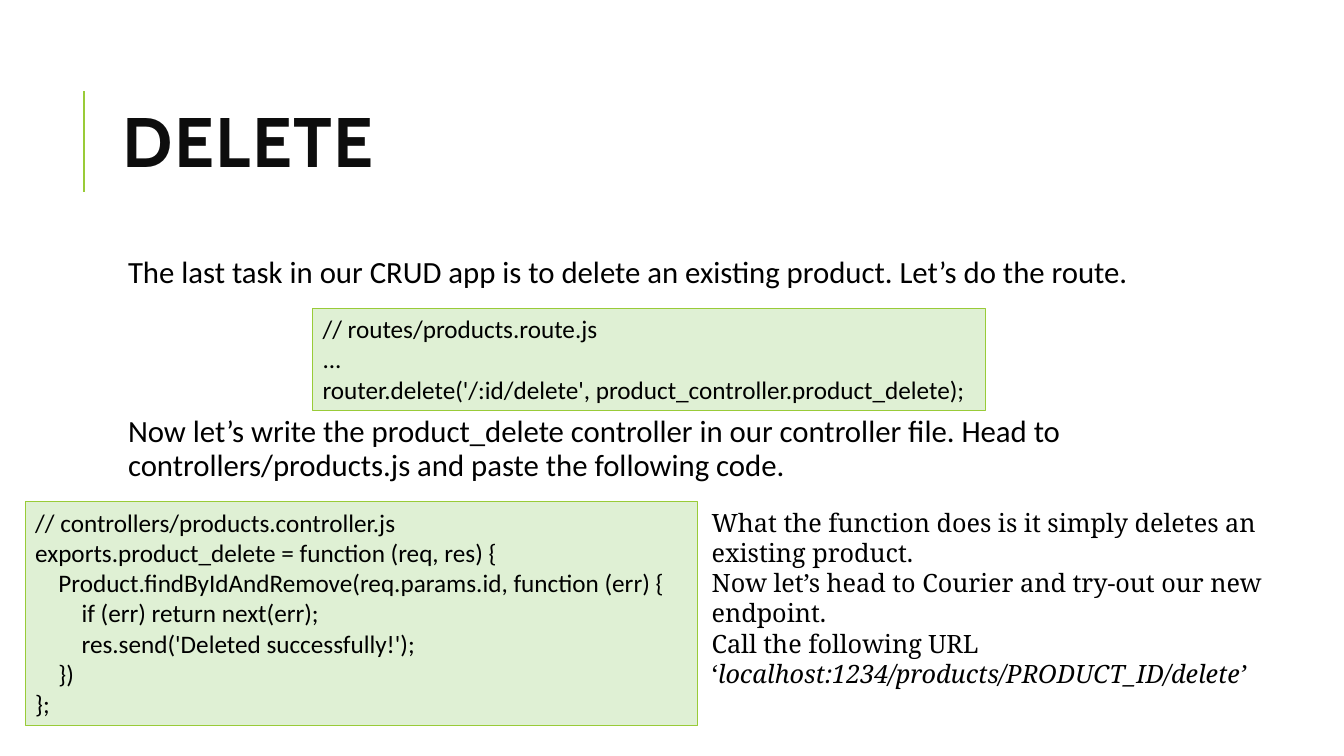
import pptx
import pptx.util
import pptx.dml.color
import pptx.enum.shapes
import pptx.enum.text
import lxml.etree

COLORS = {"accent": "99CB38", "code": "DFF0D4", "title": "0D0D0D", "text": "000000"}
CODE_INDENT = pptx.util.Inches(0.23)

ROUTE_CODE = [
    (0, "// routes/products.route.js"),
    (0, "..."),
    (0, "router.delete('/:id/delete', product_controller.product_delete);"),
]
CONTROLLER_CODE = [
    (0, "// controllers/products.controller.js"),
    (0, "exports.product_delete = function (req, res) {"),
    (1, "Product.findByIdAndRemove(req.params.id, function (err) {"),
    (2, "if (err) return next(err);"),
    (2, "res.send('Deleted successfully!');"),
    (1, "})"),
    (0, "};"),
]
STEPS = [
    "The last task in our CRUD app is to delete an existing product. Let’s do the route.",
    "Now let’s write the product_delete controller in our controller file. "
    "Head to controllers/products.js and paste the following code.",
]
NOTES = [
    ["What the function does is it simply deletes an existing product."],
    ["Now let’s head to Courier and try-out our new endpoint."],
    ["Call the following URL ‘", "localhost:1234/products/PRODUCT_ID/delete’"],
]


def rgb(name):
    """Return the named colour."""
    return pptx.dml.color.RGBColor.from_string(COLORS[name])


def area(prs, left, top, width, height):
    """Turn percentages of the slide into a box of lengths."""
    w, h = prs.slide_width / 100, prs.slide_height / 100
    return int(left * w), int(top * h), int(width * w), int(height * h)


def add_text(sp, paragraphs, size, font, color="text"):
    """Write paragraphs, each a list of runs, and return them."""
    tf = sp.text_frame
    tf.word_wrap = True
    tf.vertical_anchor = pptx.enum.text.MSO_ANCHOR.TOP
    for i, runs in enumerate(paragraphs):
        p = tf.add_paragraph() if i else tf.paragraphs[0]
        p.alignment = pptx.enum.text.PP_ALIGN.LEFT
        p.font.size = pptx.util.Pt(size)
        p.font.name = font
        p.font.color.rgb = rgb(color)
        for text in runs:
            p.add_run().text = text
    return tf.paragraphs


def add_title(s, box, text):
    """Place the accent rule at the left edge and the title beside it."""
    left, top, width, height = box
    gap = int(width * 0.0266)
    rule = s.shapes.add_connector(
        pptx.enum.shapes.MSO_CONNECTOR.STRAIGHT,
        left, top + int(height * 0.77), left, top + int(height * 0.16))
    rule.line.color.rgb = rgb("accent")
    rule.line.width = pptx.util.Pt(1.5)
    lxml.etree.SubElement(rule.element.spPr, pptx.oxml.ns.qn("a:effectLst"))
    sp = s.shapes.add_textbox(left + gap, top, width - gap, height)
    p = add_text(sp, [[text]], 50, "Cabin", "title")[0]
    sp.text_frame.vertical_anchor = pptx.enum.text.MSO_ANCHOR.MIDDLE
    p.line_spacing = 0.8
    p.font.bold = True
    p.runs[0].font.element.set("spc", "100") if hasattr(p.runs[0].font, "element") else \
        p.runs[0]._r.get_or_add_rPr().set("spc", "100")


def add_steps(s, box, steps):
    """Place the steps with room for a code box between them."""
    sp = s.shapes.add_textbox(*box)
    tf = sp.text_frame
    tf.margin_left = pptx.util.Inches(0.15)
    tf.margin_top = tf.margin_right = tf.margin_bottom = pptx.util.Inches(0.05)
    paragraphs = add_text(sp, [[step] for step in steps], 22, "Calibri")
    for p in paragraphs:
        p.line_spacing = 0.9
        p.space_after = pptx.util.Pt(2)
    for p in paragraphs[1:]:
        p.space_before = pptx.util.Pt(88)


def add_code(s, box, lines):
    """Place a code box whose lines are indented by level."""
    sp = s.shapes.add_shape(pptx.enum.shapes.MSO_SHAPE.RECTANGLE, *box)
    sp.shadow.inherit = False
    sp.fill.solid()
    sp.fill.fore_color.rgb = rgb("code")
    sp.line.color.rgb = rgb("accent")
    sp.line.width = pptx.util.Pt(0.75)
    paragraphs = add_text(sp, [[text] for _, text in lines], 18, "Calibri")
    for p, (level, _) in zip(paragraphs, lines):
        p._p.get_or_add_pPr().set("marL", str(level * CODE_INDENT))


def add_notes(s, box, notes):
    """Place the notes, with the address at the end in italics."""
    sp = s.shapes.add_textbox(*box)
    paragraphs = add_text(sp, notes, 18, "Noto Serif")
    paragraphs[-1].runs[-1].font.italic = True


def main():
    """Build the slide and save it."""
    prs = pptx.Presentation()
    prs.slide_width = pptx.util.Inches(13.33)
    prs.slide_height = pptx.util.Inches(7.5)
    s = prs.slides.add_slide(prs.slide_layouts[6])
    add_title(s, area(prs, 6.23, 8.53, 81.92, 21.87), "DELETE")
    add_steps(s, area(prs, 8.4, 33.33, 79.74, 58.67), STEPS)
    add_code(s, area(prs, 23.26, 40.8, 50.04, 13.47), ROUTE_CODE)
    add_code(s, area(prs, 1.88, 66.4, 50.04, 29.6), CONTROLLER_CODE)
    add_notes(s, area(prs, 52.21, 66.4, 44.41, 25.6), NOTES)
    prs.save("out.pptx")


main()
